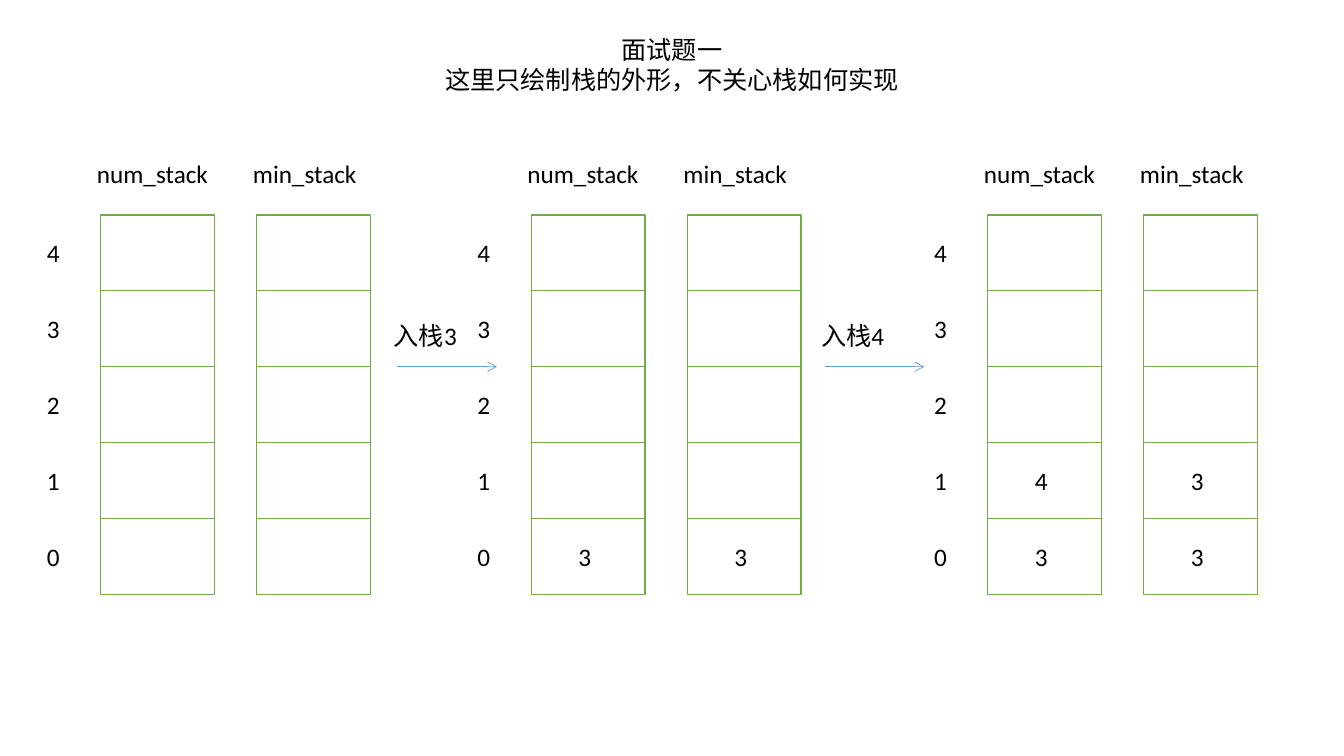
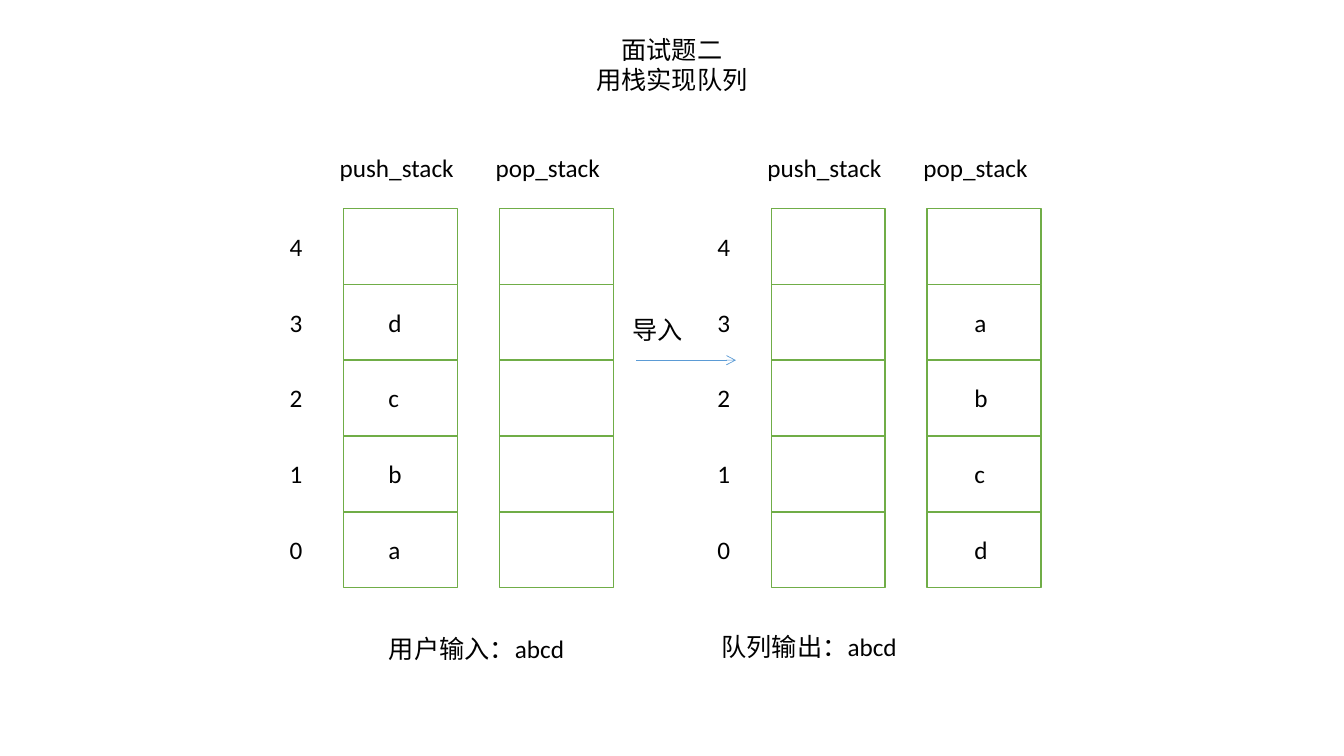
from lxml import etree
from pptx import Presentation
from pptx.dml.color import RGBColor
from pptx.enum import shapes as kinds, text as txt
from pptx.oxml import ns
from pptx.util import Pt

BLACK = RGBColor(0x00, 0x00, 0x00)
WHITE = RGBColor(0xFF, 0xFF, 0xFF)
GREEN = RGBColor(0x70, 0xAD, 0x47)
BLUE = RGBColor(0x5B, 0x9B, 0xD5)
FONT = "Calibri"
CELL_W, CELL_H, LEVELS = 81.4, 54.2, 5
STACK_STEP = 111.4
LABEL_H = 28.8
LABEL_DROP = 12.6


def add_text(parts, content, left, top, width, height=LABEL_H, size=18,
             color=BLACK, align=txt.PP_ALIGN.LEFT):
    """Place a wrapped text box, one paragraph per line of content."""
    box = parts.add_textbox(Pt(left), Pt(top), Pt(width), Pt(height))
    frame = box.text_frame
    frame.word_wrap = True
    frame.auto_size = txt.MSO_AUTO_SIZE.SHAPE_TO_FIT_TEXT
    frame.text = content
    for paragraph in frame.paragraphs:
        paragraph.alignment = align
        paragraph.font.name = FONT
        paragraph.font.size = Pt(size)
        paragraph.font.color.rgb = color


def add_title(slide, content):
    """Place the centred two-line heading."""
    add_text(slide.shapes, content, 307.5, 20.9, 344.9, 72.7,
             align=txt.PP_ALIGN.CENTER)


def add_stack(parts, name, values, left, top, inset):
    """Draw one stack with its name and its values, bottom first."""
    add_text(parts, name, left - 9.8, top - 43.6, 108)
    for row in range(LEVELS):
        cell = parts.add_shape(kinds.MSO_SHAPE.RECTANGLE, Pt(left),
                               Pt(top + row * CELL_H), Pt(CELL_W), Pt(CELL_H))
        cell.shadow.inherit = False
        cell.fill.solid()
        cell.fill.fore_color.rgb = WHITE
        cell.line.color.rgb = GREEN
        cell.line.width = Pt(1)
    for level, value in enumerate(values):
        row_top = top + (LEVELS - 1 - level) * CELL_H
        add_text(parts, value, left + inset, row_top + LABEL_DROP, 36)


def add_stack_pair(slide, stacks, left, top, inset=26.6):
    """Draw two stacks side by side with level numbers at their left."""
    parts = slide.shapes.add_group_shape().shapes
    for level in range(LEVELS):
        row_top = top + (LEVELS - 1 - level) * CELL_H
        add_text(parts, str(level), left - 45.5, row_top + LABEL_DROP, 36)
    for column, (name, values) in enumerate(stacks):
        add_stack(parts, name, values, left + column * STACK_STEP, top, inset)


def add_step(slide, caption, left, stack_top):
    """Draw a captioned arrow below the second row of the stacks."""
    top = stack_top + 2 * CELL_H
    arrow = slide.shapes.add_connector(kinds.MSO_CONNECTOR.STRAIGHT, Pt(left),
                                       Pt(top), Pt(left + 71.3), Pt(top))
    arrow.line.color.rgb = BLUE
    arrow.line.width = Pt(0.5)
    etree.SubElement(arrow.line._get_or_add_ln(), ns.qn("a:tailEnd"), type="arrow")
    etree.SubElement(arrow._element.spPr, ns.qn("a:effectLst"))
    add_text(slide.shapes, caption, left - 9.6, top - 36.5, 70.6)


def build_min_stack(slide):
    """Build the slide on a stack that tracks its minimum."""
    top = 153.5
    add_title(slide, "面试题一\n这里只绘制栈的外形，不关心栈如何实现")
    states = [(72, "", ""), (379.5, "3", "3"), (705.6, "34", "33")]
    for left, numbers, minima in states:
        add_stack_pair(slide, [("num_stack", numbers), ("min_stack", minima)],
                       left, top)
    for caption, left in [("入栈3", 283.7), ("入栈4", 589)]:
        add_step(slide, caption, left, top)


def build_queue(slide):
    """Build the slide on a queue made of two stacks."""
    top = 148.9
    add_title(slide, "面试题二\n用栈实现队列")
    states = [(245.4, "abcd", "", 25), (550.9, "", "dcba", 26.6)]
    for left, pushed, popped, inset in states:
        add_stack_pair(slide, [("push_stack", pushed), ("pop_stack", popped)],
                       left, top, inset)
    add_step(slide, "导入", 454.4, top)
    add_text(slide.shapes, "用户输入：abcd", 270.7, 448.6, 184.3)
    add_text(slide.shapes, "队列输出：abcd", 508.3, 447.1, 154.8)


deck = Presentation()
deck.slide_width, deck.slide_height = Pt(960), Pt(540)
for build in (build_min_stack, build_queue):
    build(deck.slides.add_slide(deck.slide_layouts[6]))
deck.save("out.pptx")
